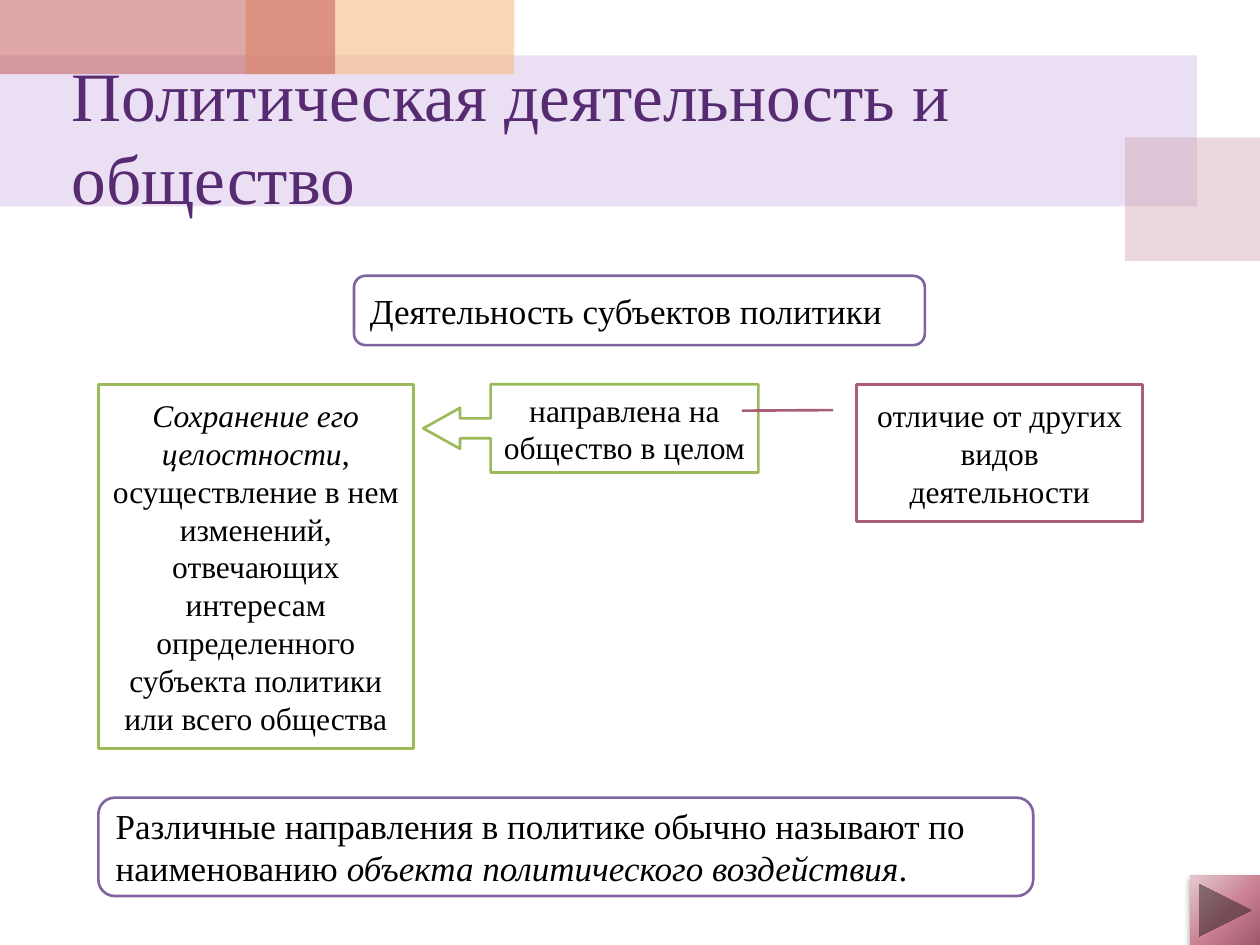
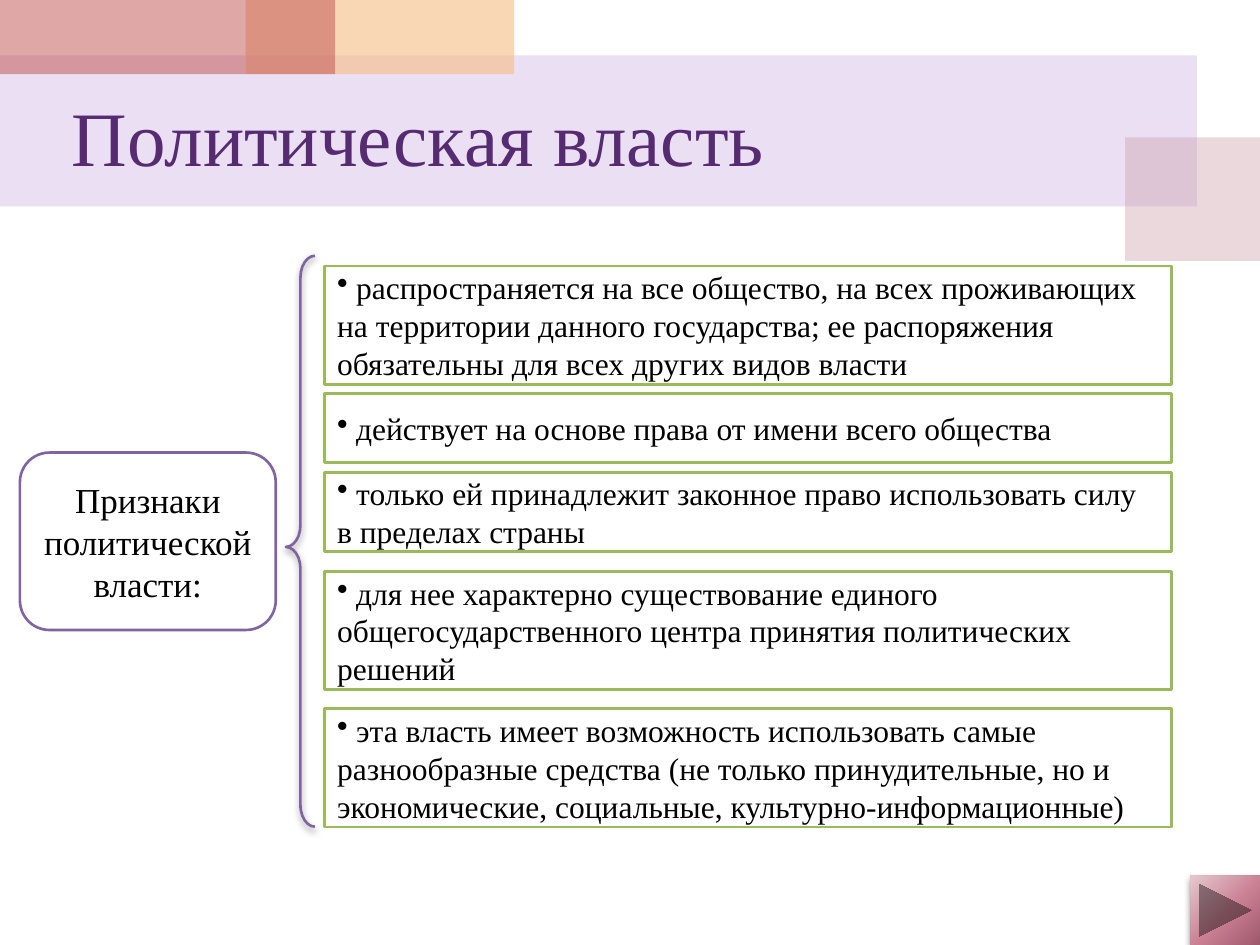
from dataclasses import dataclass

from lxml.etree import SubElement
from pptx import Presentation
from pptx.dml.color import RGBColor
from pptx.enum.shapes import MSO_SHAPE as Kind
from pptx.enum.text import MSO_ANCHOR as Anchor, PP_ALIGN as Align
from pptx.oxml.ns import qn
from pptx.util import Pt

FONT = "Times New Roman"
WHITE, BLACK, TITLE = "FFFFFF", "000000", "562B71"
PURPLE, GREEN, ROSE = "8064A2", "9BBB59", "AA5E74"
BUTTON_STOPS = ((0, "E5C9CF"), (55, "C97F92"), (100, "9E586C"))


@dataclass(frozen=True)
class Frame:
    """A place on the slide, in points."""
    left: float
    top: float
    width: float
    height: float

    def lengths(self):
        """Return left, top, width and height as lengths."""
        return [Pt(v) for v in (self.left, self.top, self.width, self.height)]


@dataclass(frozen=True)
class Span:
    """A piece of text in one style."""
    text: str
    italic: bool = False


@dataclass(frozen=True)
class Box:
    """An outlined white shape with text."""
    kind: Kind
    frame: Frame
    line: str
    size: float
    spans: tuple[Span, ...]
    align: Align = Align.CENTER
    bullet: bool = False
    adjust: tuple[float, ...] = ()


@dataclass(frozen=True)
class Band:
    """A translucent decorative rectangle."""
    frame: Frame
    colour: str
    opacity: int


BANDS = (
    Band(Frame(0, 31.6, 684, 86.4), "BF98D8", 30),
    Band(Frame(643, 78.5, 77, 70.6), "CC9EAC", 40),
    Band(Frame(140.4, 0, 153.4, 42.4), "F5BC83", 60),
    Band(Frame(0, 0, 191.5, 42.4), "C0504D", 50),
)


def paint(colour_format, colour: str) -> None:
    """Give a colour format a hex colour."""
    colour_format.rgb = RGBColor.from_string(colour)


def add_alpha(colour_element, percent: int) -> None:
    """Set the opacity of a colour element."""
    SubElement(colour_element, qn("a:alpha"), val=str(percent * 1000))


def add_plain(page, kind: Kind, frame: Frame):
    """Add a shape without shadow."""
    shape = page.shapes.add_shape(kind, *frame.lengths())
    shape.shadow.inherit = False
    return shape


def add_shadow(shape, opacity: int) -> None:
    """Add a soft shadow below a shape."""
    effects = shape._element.spPr.find(qn("a:effectLst"))
    shadow = SubElement(effects, qn("a:outerShdw"), blurRad=str(Pt(4)),
                        dist=str(Pt(2)), dir="5400000", rotWithShape="0")
    add_alpha(SubElement(shadow, qn("a:srgbClr"), val=BLACK), opacity)


def add_outline(shape, colour: str) -> None:
    """Draw the common outline."""
    paint(shape.line.color, colour)
    shape.line.width = Pt(1.5)


def write(text_frame, spans, size: float, colour: str, align: Align):
    """Write one vertically centred paragraph and return it."""
    text_frame.word_wrap = True
    text_frame.vertical_anchor = Anchor.MIDDLE
    para = text_frame.paragraphs[0]
    para.alignment = align
    para.font.name, para.font.size = FONT, Pt(size)
    paint(para.font.color, colour)
    for span in spans:
        run = para.add_run()
        run.text = span.text
        if span.italic:
            run.font.italic = True
    return para


def add_band(page, band: Band) -> None:
    """Add a translucent band."""
    shape = add_plain(page, Kind.RECTANGLE, band.frame)
    shape.fill.solid()
    paint(shape.fill.fore_color, band.colour)
    add_alpha(next(shape._element.spPr.iter(qn("a:srgbClr"))), band.opacity)
    shape.line.fill.background()


def add_box(page, box: Box) -> None:
    """Add an outlined text box shape."""
    shape = add_plain(page, box.kind, box.frame)
    for index, value in enumerate(box.adjust):
        shape.adjustments[index] = value
    shape.fill.solid()
    paint(shape.fill.fore_color, WHITE)
    add_outline(shape, box.line)
    para = write(shape.text_frame, box.spans, box.size, BLACK, box.align)
    if box.bullet:
        properties = para._p.get_or_add_pPr()
        bullet = properties.makeelement(qn("a:buChar"), {"char": "•"})
        properties.find(qn("a:defRPr")).addprevious(bullet)


def add_brace(page, frame: Frame) -> None:
    """Add the brace that gathers the list."""
    brace = add_plain(page, Kind.LEFT_BRACE, frame)
    brace.adjustments[0], brace.adjustments[1] = 0.75, 0.51
    brace.fill.background()
    add_outline(brace, PURPLE)
    add_shadow(brace, 40)


def add_next_button(page) -> None:
    """Add the shaded forward button in the corner."""
    button = add_plain(page, Kind.ACTION_BUTTON_FORWARD_OR_NEXT,
                       Frame(680.4, 500.4, 39.6, 39.6))
    button.fill.gradient()
    gradient = button._element.spPr.find(qn("a:gradFill"))
    for child in list(gradient):
        gradient.remove(child)
    stops = SubElement(gradient, qn("a:gsLst"))
    for position, colour in BUTTON_STOPS:
        stop = SubElement(stops, qn("a:gs"), pos=str(position * 1000))
        SubElement(stop, qn("a:srgbClr"), val=colour)
    circle = SubElement(gradient, qn("a:path"), {"path": "circle"})
    SubElement(circle, qn("a:fillToRect"),
               l="-40000", t="-90000", r="140000", b="190000")
    button.line.fill.background()
    add_shadow(button, 45)


def add_page(deck, title: str, size: float, boxes):
    """Add a slide with bands, title, boxes and button."""
    page = deck.slides.add_slide(deck.slide_layouts[6])
    for band in BANDS:
        add_band(page, band)
    heading = page.shapes.add_textbox(*Frame(33.8, 39.6, 648, 75.6).lengths())
    write(heading.text_frame, [Span(title)], size, TITLE, Align.LEFT)
    for box in boxes:
        add_box(page, box)
    add_next_button(page)
    return page


ROW_TOP = 219.6
ACTIVITY = (
    Box(Kind.ROUNDED_RECTANGLE, Frame(202.3, 157.6, 326.2, 39.6), PURPLE, 20,
        (Span("Деятельность субъектов политики"),), Align.LEFT),
    Box(Kind.LEFT_ARROW_CALLOUT, Frame(241.9, ROW_TOP, 191.5, 50.4), GREEN, 18,
        (Span("направлена на общество в целом"),),
        adjust=(0.226, 0.232, 0.417, 0.799)),
    Box(Kind.FLOWCHART_PROCESS, Frame(56.2, ROW_TOP, 180, 208), GREEN, 18,
        (Span("Сохранение его целостности", True),
         Span(", осуществление в нем изменений, отвечающих интересам "
              "определенного субъекта политики или всего общества"))),
    Box(Kind.LINE_CALLOUT_1, Frame(489.6, ROW_TOP, 163.4, 78.5), ROSE, 18,
        (Span("отличие от других видов деятельности"),),
        adjust=(0.188, -0.083, 0.192, -0.402)),
    Box(Kind.ROUNDED_RECTANGLE, Frame(56.2, 455.8, 534.2, 56.2), PURPLE, 20,
        (Span("Различные направления в политике обычно называют по "
              "наименованию "),
         Span("объекта политического воздействия", True), Span(".")),
        Align.LEFT),
)

# Top, height and text of each feature of political power
FEATURES = (
    (152, 67.6, "распространяется на все общество, на всех проживающих на "
     "территории данного государства; ее распоряжения обязательны для всех "
     "других видов власти"),
    (224.8, 39.6, "действует на основе права от имени всего общества"),
    (270, 45.2, "только ей принадлежит законное право использовать силу в "
     "пределах страны"),
    (326.4, 67.6, "для нее характерно существование единого "
     "общегосударственного центра принятия политических решений"),
    (405, 67.6, "эта власть имеет возможность использовать самые "
     "разнообразные средства (не только принудительные, но и экономические, "
     "социальные, культурно-информационные)"),
)
POWER = [
    Box(Kind.FLOWCHART_ALTERNATE_PROCESS, Frame(11.4, 258.6, 146.2, 101.4),
        PURPLE, 20, (Span("Признаки политической власти:"),)),
] + [
    Box(Kind.FLOWCHART_PROCESS, Frame(185.6, top, 484, height), GREEN, 18,
        (Span(" " + text),), Align.LEFT, bullet=True)
    for top, height, text in FEATURES
]


def main() -> None:
    """Build and save the deck."""
    deck = Presentation()
    deck.slide_width, deck.slide_height = Pt(720), Pt(540)
    add_page(deck, "Политическая деятельность и общество", 39.6, ACTIVITY)
    page = add_page(deck, "Политическая власть", 44, POWER)
    add_brace(page, Frame(163.4, 146.2, 16.6, 326.2))
    deck.save("out.pptx")


main()
